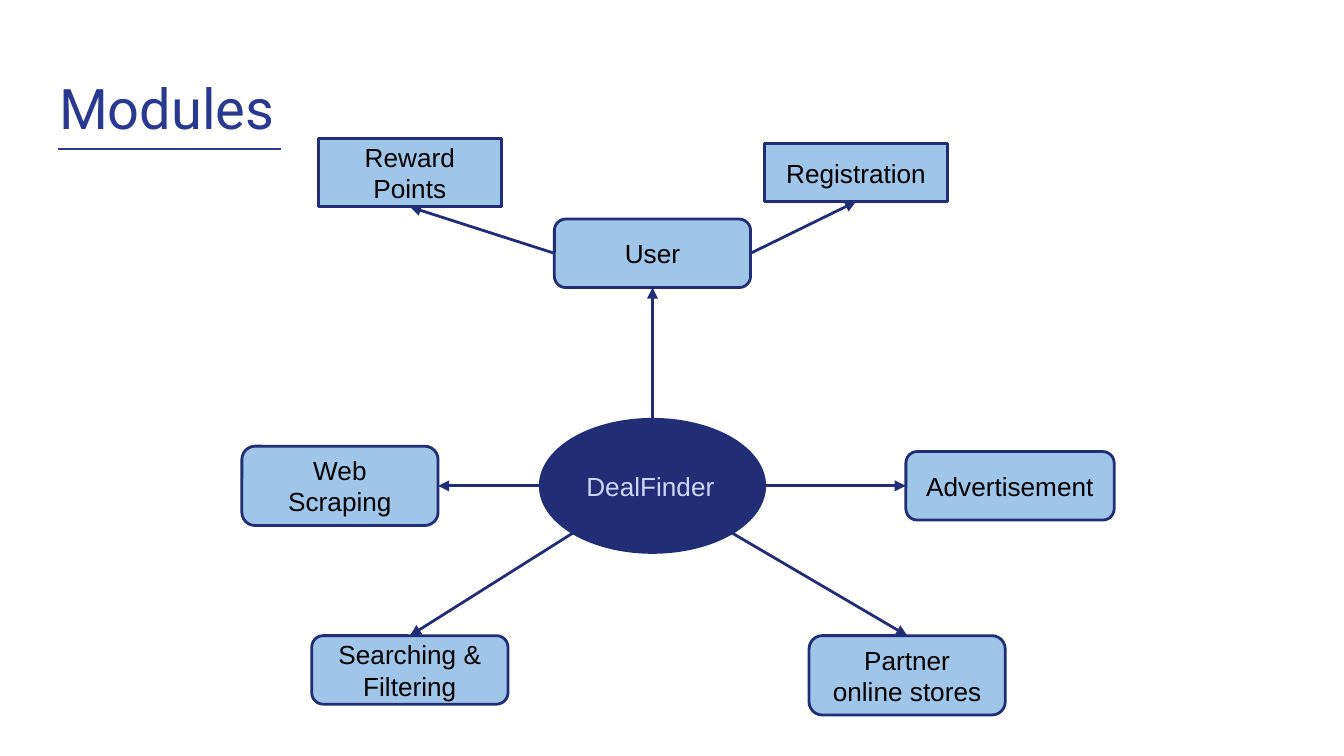
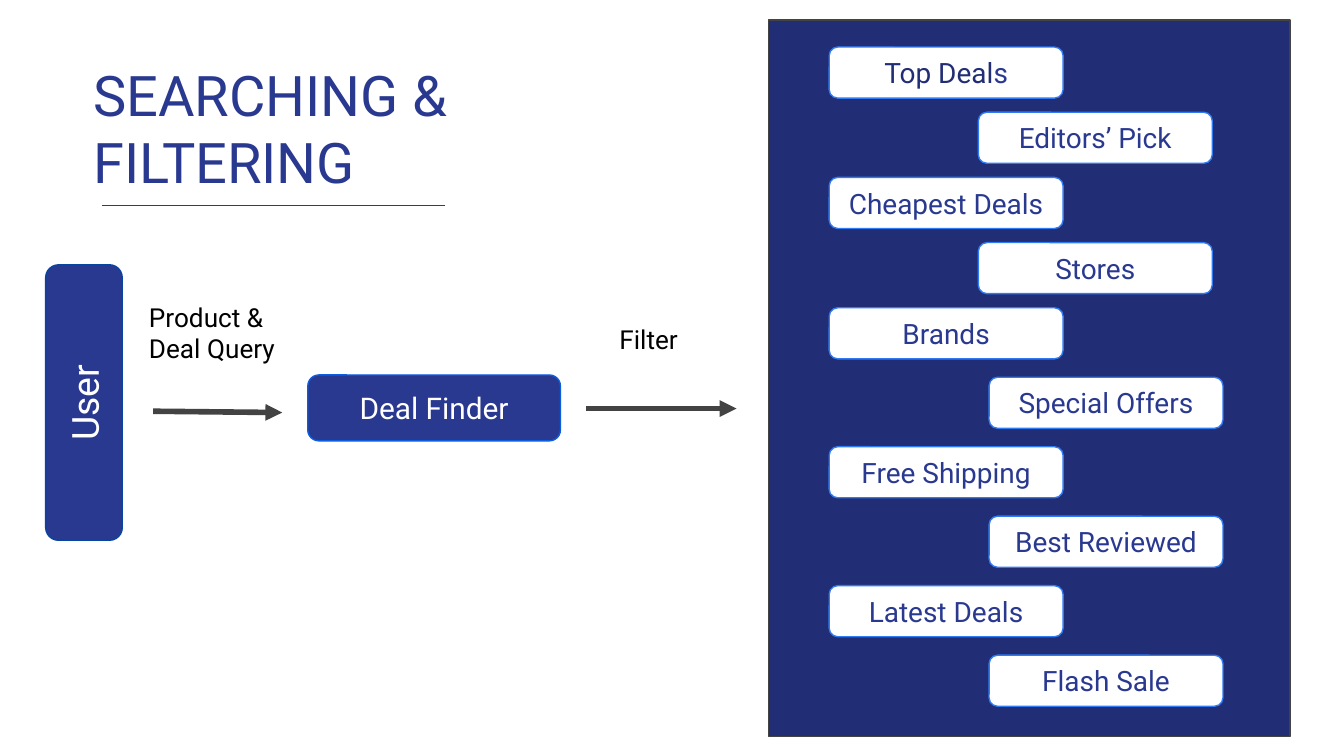
from copy import deepcopy
from dataclasses import dataclass
from math import cos, pi, sin
from typing import NamedTuple

from lxml.etree import SubElement
from pptx import Presentation
from pptx.dml.color import RGBColor
from pptx.enum.shapes import MSO_CONNECTOR as Connector, MSO_SHAPE as Preset
from pptx.enum.text import MSO_ANCHOR as Anchor, MSO_AUTO_SIZE as AutoSize, PP_ALIGN as Align
from pptx.oxml.ns import qn
from pptx.util import Inches, Pt

# Grid: square cells on a 16:9 slide, counted in columns and rows
WIDTH = Inches(10)
HEIGHT = WIDTH * 9 // 16
COLUMN, ROW = WIDTH / 100, HEIGHT / 56.25
INSET = Inches(0.1)
TOP, LEFT, BOTTOM, RIGHT = range(4)

COLORS = {
    "white": "FFFFFF",
    "black": "000000",
    "navy": "212D74",
    "royal": "2A3990",
    "sky": "9FC5E8",
    "mist": "C9DAF8",
    "charcoal": "434343",
    "user edge": "0944A1",
    "finder edge": "0D5DDF",
    "filter edge": "307BF3",
}


class Area(NamedTuple):
    left: float
    top: float
    width: float
    height: float


class Point(NamedTuple):
    column: float
    row: float


@dataclass(frozen=True)
class Module:
    label: str
    area: Area
    preset: Preset = Preset.ROUNDED_RECTANGLE


@dataclass(frozen=True)
class Filter:
    label: str
    dark_start: str = ""


# Content of the module map
HUB = Area(40.2, 31.2, 16.7, 9.9)
MODULES = {
    "scraping": Module("Web Scraping", Area(18, 33.2, 14.6, 5.9)),
    "search": Module("Searching & Filtering", Area(23.2, 47.3, 14.6, 5.1)),
    "stores": Module("Partner online stores", Area(60.2, 47.3, 14.6, 5.9)),
    "adverts": Module("Advertisement", Area(67.4, 33.6, 15.5, 5.1)),
    "user": Module("User", Area(41.25, 16.3, 14.6, 5.1)),
    "registration": Module("Registration", Area(56.9, 10.7, 13.6, 4.3), Preset.RECTANGLE),
    "rewards": Module("Reward Points", Area(23.7, 10.3, 13.6, 5.1), Preset.RECTANGLE),
}
# Angle on the hub's rim, module reached, side of the module
HUB_ARROWS = [
    (pi, "scraping", RIGHT),
    (0, "adverts", LEFT),
    (pi * 3 / 4, "search", TOP),
    (pi / 4, "stores", TOP),
    (-pi / 2, "user", BOTTOM),
]
USER_ARROWS = [(RIGHT, "registration"), (LEFT, "rewards")]

# Content of the filter panel; the lower half is spaced a little wider
FILTERS = [
    Filter("s", dark_start="Top Deal"),
    Filter("Editors’ Pick"),
    Filter("Cheapest Deals"),
    Filter("Stores"),
    Filter("Brands"),
    Filter("Special Offers"),
    Filter("Free Shipping"),
    Filter("Best Reviewed"),
    Filter("Latest Deals"),
    Filter("Flash Sale"),
]
HALF = 4
UPPER_STEP, LOWER_STEP = 4.85, 5.17


def rgb(color: str) -> RGBColor:
    return RGBColor.from_string(COLORS[color])


def measure(area: Area) -> list[int]:
    return [round(n * unit) for n, unit in zip(area, (COLUMN, ROW) * 2)]


def put_text(frame, text: str, *, size: float, color: str, font: str = "Roboto",
             align: Align = Align.LEFT, anchor: Anchor = Anchor.TOP,
             fit: AutoSize = AutoSize.NONE) -> None:
    """Append text to the frame's paragraph; a newline is a line break."""
    frame.word_wrap = True
    frame.auto_size = fit
    frame.vertical_anchor = anchor
    frame.margin_left = frame.margin_top = frame.margin_right = frame.margin_bottom = INSET
    paragraph = frame.paragraphs[0]
    paragraph.alignment = align
    for number, part in enumerate(text.split("\n")):
        if number:
            paragraph.add_line_break()
        run = paragraph.add_run()
        run.text = part
        run.font.size, run.font.name = Pt(size), font
        run.font.color.rgb = rgb(color)
    for line_break in paragraph._p.findall(qn("a:br")):
        if len(line_break) == 0:
            line_break.append(deepcopy(run._r.find(qn("a:rPr"))))


def add_title(slide, text: str, area: Area, underline: tuple[Point, Point]) -> None:
    title = slide.shapes.title
    title.left, title.top, title.width, title.height = measure(area)
    put_text(title.text_frame, text, size=30, color="royal")
    add_line(slide, *underline, color="royal", weight=0.75, arrow=False)


def add_box(slide, area: Area, preset: Preset, *, fill: str, edge: str, weight: float = 0.75):
    box = slide.shapes.add_shape(preset, *measure(area))
    box.shadow.inherit = False
    box.fill.solid()
    box.fill.fore_color.rgb = rgb(fill)
    box.line.color.rgb = rgb(edge)
    box.line.width = Pt(weight)
    return box


def add_label(slide, text: str, area: Area) -> None:
    label = slide.shapes.add_textbox(*measure(area))
    put_text(label.text_frame, text, size=14, color="black", fit=AutoSize.SHAPE_TO_FIT_TEXT)


def add_line(slide, start: Point, end: Point, *, color: str, weight: float, arrow: bool = True):
    ends = measure(Area(*start, *end))
    line = slide.shapes.add_connector(Connector.STRAIGHT, *ends)
    line.line.color.rgb = rgb(color)
    line.line.width = Pt(weight)
    if arrow:
        SubElement(line.line._get_or_add_ln(), qn("a:tailEnd"), type="triangle")
    SubElement(line._element.spPr, qn("a:effectLst"))
    return line


def rim(area: Area, angle: float) -> Point:
    """Point of the ellipse inside the area, at an angle clockwise from the right."""
    return Point(area.left + area.width / 2 * (1 + cos(angle)),
                 area.top + area.height / 2 * (1 + sin(angle)))


def draw_modules(slide) -> None:
    add_title(slide, "Modules", Area(3.4, 4.5, 93.2, 6.6), (Point(4.3, 11.1), Point(20.9, 11.1)))

    # Hub and modules
    hub = add_box(slide, HUB, Preset.OVAL, fill="navy", edge="navy", weight=1.5)
    put_text(hub.text_frame, "DealFinder", size=14, color="mist", font="Arial",
             anchor=Anchor.MIDDLE)
    boxes = {}
    for key, module in MODULES.items():
        boxes[key] = add_box(slide, module.area, module.preset, fill="sky", edge="navy", weight=1.5)
        put_text(boxes[key].text_frame, module.label, size=14, color="black", font="Arial",
                 align=Align.CENTER, anchor=Anchor.MIDDLE)

    # Arrows from the hub, then from the user
    for angle, key, side in HUB_ARROWS:
        start = rim(HUB, angle)
        arrow = add_line(slide, start, start, color="navy", weight=1.5)
        arrow.end_connect(boxes[key], side)
    for user_side, key in USER_ARROWS:
        start = Point(*MODULES["user"].area[:2])
        arrow = add_line(slide, start, start, color="navy", weight=1.5)
        arrow.begin_connect(boxes["user"], user_side)
        arrow.end_connect(boxes[key], BOTTOM)


def draw_filtering(slide) -> None:
    add_title(slide, "SEARCHING &\nFILTERING", Area(5.95, 3.5, 32, 11.2),
              (Point(7.6, 15.3), Point(33.1, 15.3)))

    # User, query and deal finder
    user = add_box(slide, Area(-4, 27.1, 20.5, 5.7), Preset.ROUNDED_RECTANGLE,
                   fill="royal", edge="user edge")
    user.rotation = 270
    finder = add_box(slide, Area(22.9, 27.9, 18.8, 4.9), Preset.ROUNDED_RECTANGLE,
                     fill="royal", edge="finder edge")
    for box, text, size in ((user, "User", 20), (finder, "Deal Finder", 16)):
        put_text(box.text_frame, text, size=size, color="white",
                 align=Align.CENTER, anchor=Anchor.MIDDLE)
    add_label(slide, "Product & Deal Query", Area(10.1, 21.4, 11.9, 6.7))
    add_label(slide, "Filter", Area(45.1, 23.1, 11.9, 4.4))
    add_line(slide, Point(11.4, 30.6), Point(21, 30.7), color="charcoal", weight=3)
    add_line(slide, Point(43.6, 30.4), Point(54.8, 30.4), color="charcoal", weight=3)

    # Panel of staggered filters
    add_box(slide, Area(57.2, 1.5, 38.8, 53.3), Preset.RECTANGLE, fill="navy", edge="charcoal")
    for index, choice in enumerate(FILTERS):
        right_column = 72.8 if index < HALF else 73.6
        left = right_column if index % 2 else 61.7
        top = 3.5 + UPPER_STEP * min(index, HALF) + LOWER_STEP * max(index - HALF, 0)
        chip = add_box(slide, Area(left, top, 17.4, 3.8), Preset.ROUNDED_RECTANGLE,
                       fill="white", edge="filter edge")
        for text, color in ((choice.dark_start, "navy"), (choice.label, "royal")):
            if text:
                put_text(chip.text_frame, text, size=15, color=color,
                         align=Align.CENTER, anchor=Anchor.MIDDLE)


def main() -> None:
    deck = Presentation()
    deck.slide_width, deck.slide_height = WIDTH, HEIGHT
    title_only = deck.slide_layouts[5]
    for draw in (draw_modules, draw_filtering):
        draw(deck.slides.add_slide(title_only))
    deck.save("out.pptx")


if __name__ == "__main__":
    main()
